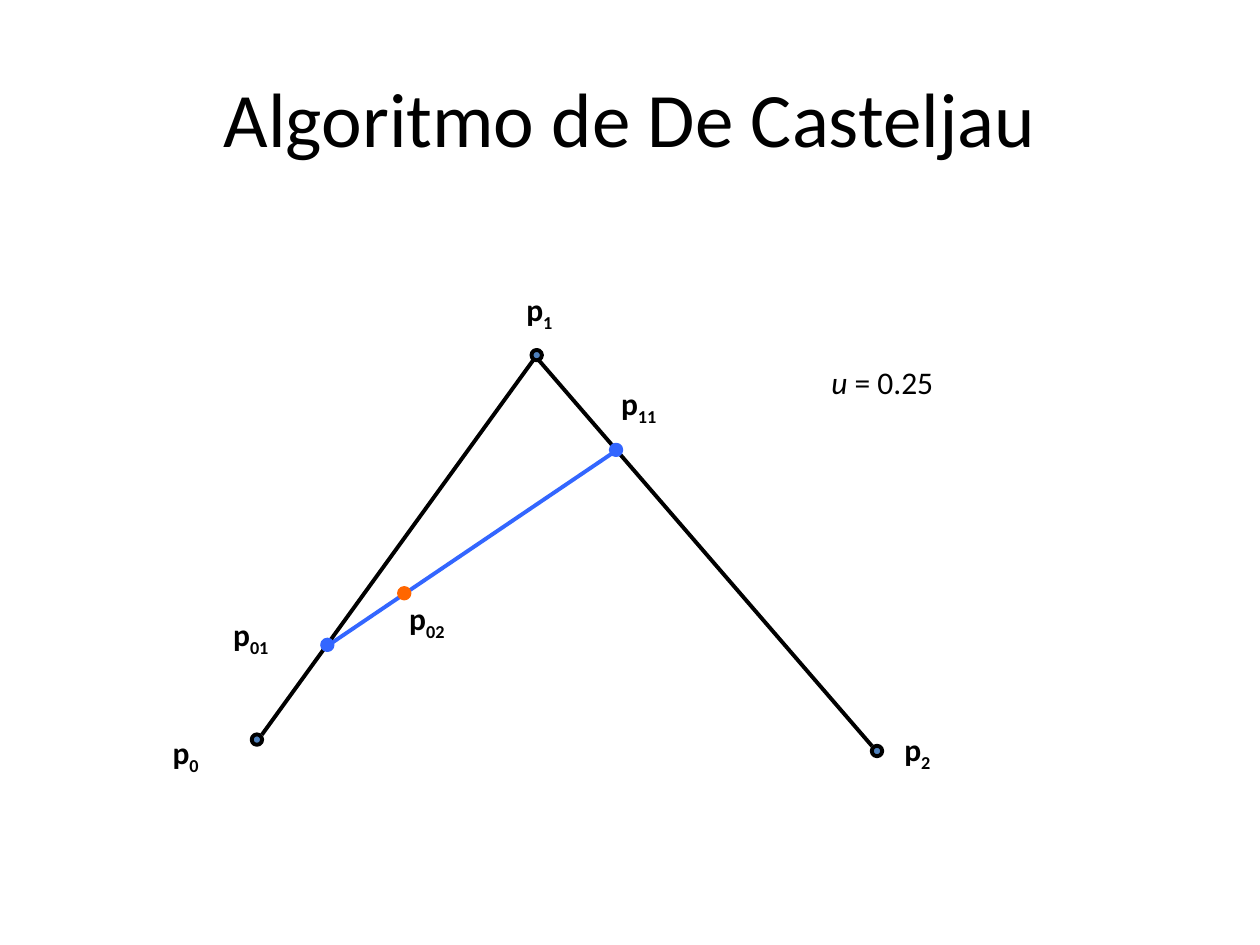
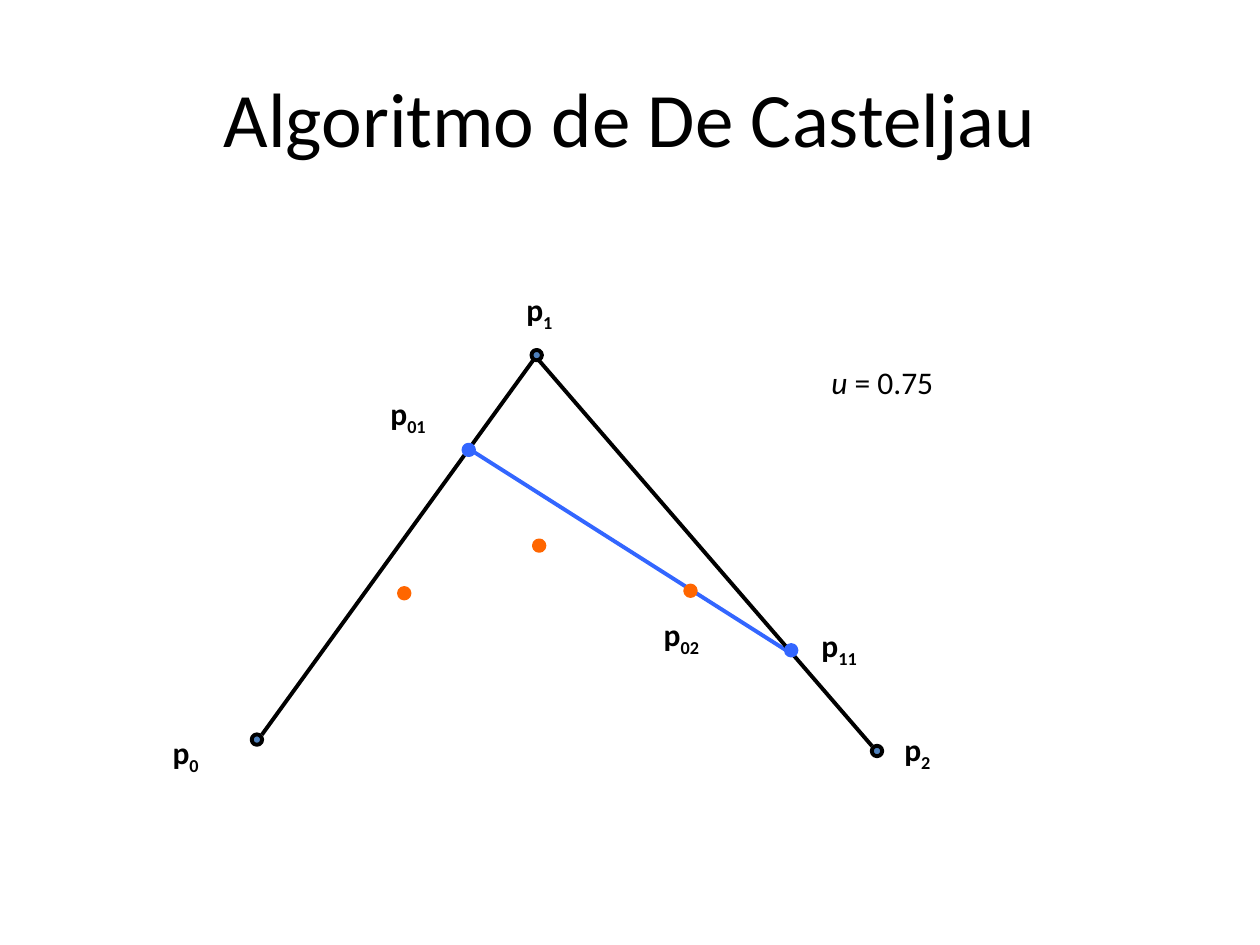
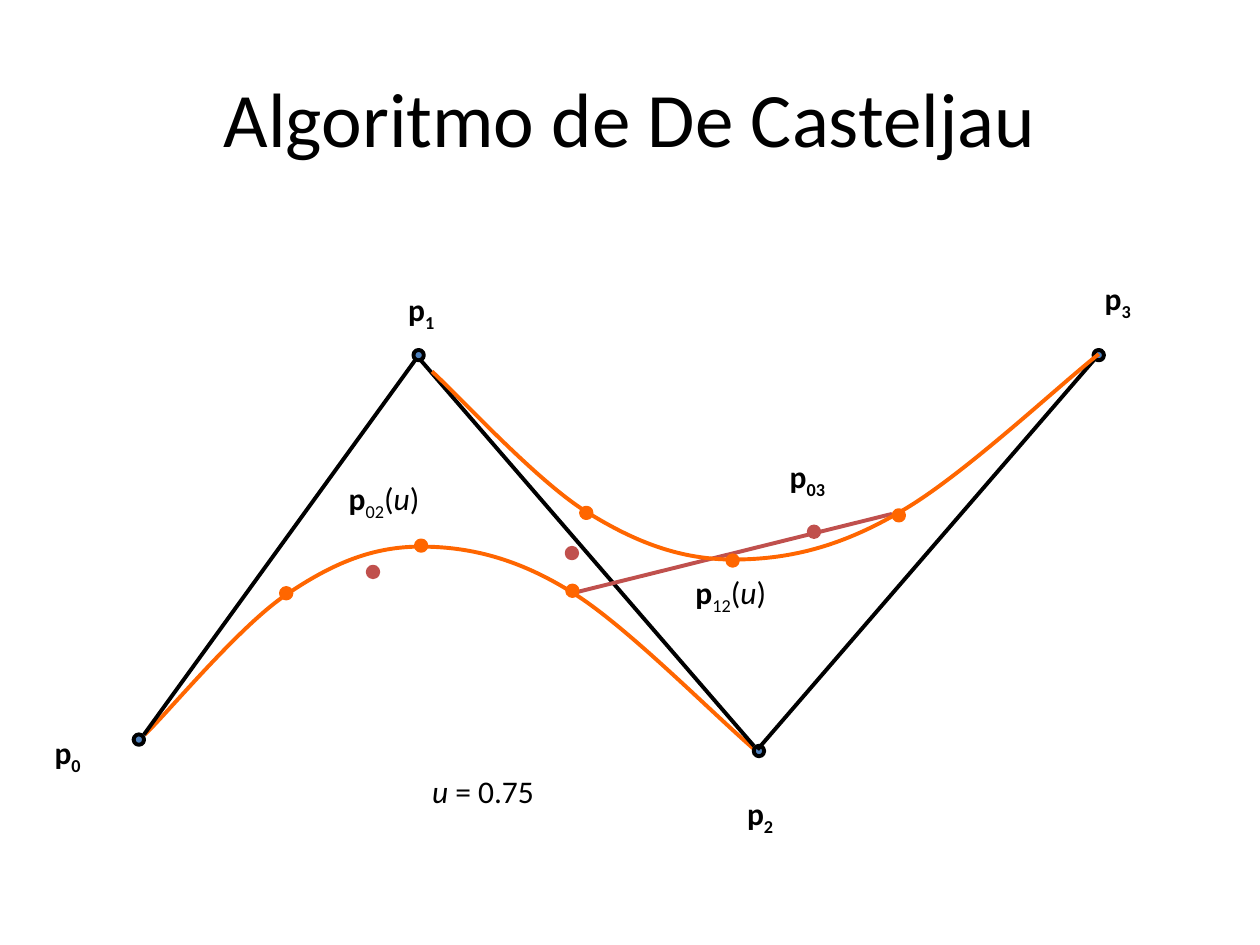
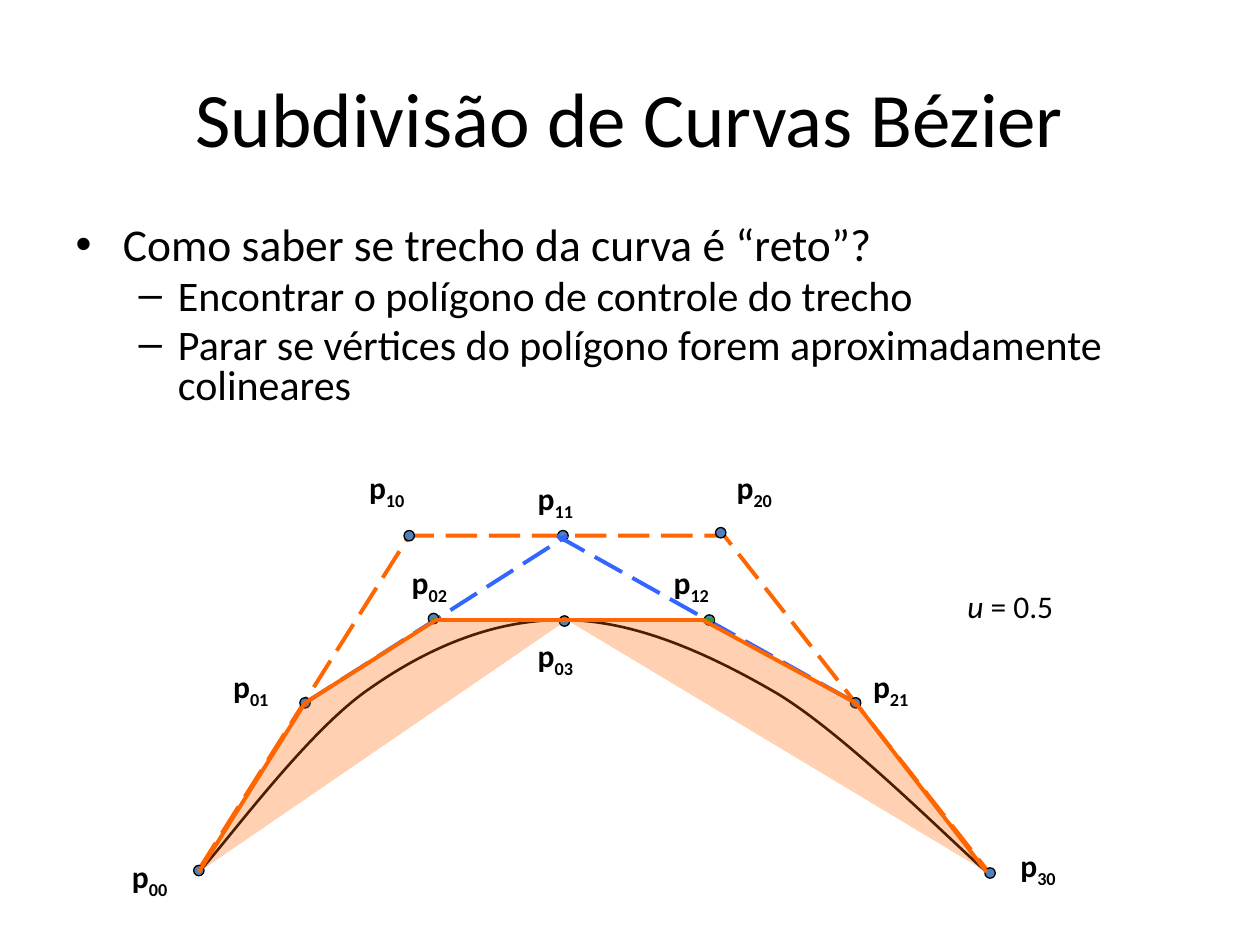
"""Build four slides on De Casteljau's algorithm and Bezier subdivision."""
from dataclasses import dataclass, field
from typing import Any, Optional, Union

from lxml.etree import SubElement
from pptx import Presentation
from pptx.dml.color import RGBColor as Rgb
from pptx.enum.dml import MSO_LINE_DASH_STYLE as Dash
from pptx.enum.shapes import MSO_CONNECTOR_TYPE as Connector, MSO_SHAPE as Preset
from pptx.enum.text import MSO_AUTO_SIZE as AutoSize, MSO_ANCHOR as Anchor, PP_ALIGN as Align
from pptx.oxml.ns import qn
from pptx.util import Cm, Pt

Point = tuple[float, float]


@dataclass(frozen=True)
class Theme:
    """Colours, type sizes and stroke widths of the deck."""
    font: str = "Calibri"
    black: str = "000000"
    steel: str = "4F81BD"
    blue: str = "3366FF"
    orange: str = "FF6600"
    red: str = "C0504D"
    green: str = "339933"
    title_size: float = 44
    body_sizes: tuple[float, float] = (26, 24)
    label_size: float = 18
    thick: float = 2.25
    medium: float = 1.5
    thin: float = 0.75
    dot: float = 0.21
    label_height: float = 1.09
    region_opacity: int = 30


THEME = Theme()
TITLE_ONLY, TITLE_AND_CONTENT = 5, 1
TITLE_BOX = (1.27, 0.76, 22.86, 3.18)
BODY_BOX = (1.27, 4.45, 22.86, 4.24)


@dataclass(frozen=True)
class Stroke:
    """Colour, width and dashing of a line."""
    color: str = THEME.black
    width: float = THEME.thick
    dashed: bool = False


@dataclass(frozen=True)
class Dot:
    """A round marker, placed by its centre."""
    center: Point
    fill: str = THEME.steel
    stroke: Stroke = Stroke()


@dataclass(frozen=True)
class Segment:
    """A straight line between two points."""
    start: Point
    end: Point
    stroke: Stroke = Stroke()


@dataclass(frozen=True)
class Outline:
    """An open polyline, or a chain of cubic Bezier arcs."""
    points: tuple[Point, ...]
    stroke: Stroke
    curved: bool = False
    fill: Optional[str] = None


@dataclass(frozen=True)
class Span:
    """A run of label text."""
    text: str
    formats: dict[str, Any] = field(default_factory=dict)
    subscript: bool = False


@dataclass(frozen=True)
class Label:
    """A text box, placed by its top left corner."""
    corner: Point
    width: float
    spans: tuple[Span, ...]


Item = Union[Dot, Segment, Outline, Label]


def apply(target: Any, formats: dict[str, Any]) -> None:
    """Set every attribute named in formats."""
    for name, value in formats.items():
        setattr(target, name, value)


def style_font(font: Any, size: float, **formats: Any) -> None:
    """Give a font the deck's typeface, colour and a size."""
    apply(font, {"name": THEME.font, "size": Pt(size), **formats})
    font.color.rgb = Rgb.from_string(THEME.black)


def place(shape: Any, bounds: tuple[float, float, float, float]) -> None:
    """Move and size a shape; bounds are in centimetres."""
    names = ("left", "top", "width", "height")
    apply(shape, {name: Cm(value) for name, value in zip(names, bounds)})


def style_line(line: Any, stroke: Stroke) -> None:
    """Apply a stroke to a line format."""
    line.color.rgb = Rgb.from_string(stroke.color)
    line.width = Pt(stroke.width)
    if stroke.dashed:
        line.dash_style = Dash.LONG_DASH


def fill_solid(shape: Any, color: str) -> None:
    """Fill a shape with one colour."""
    shape.fill.solid()
    shape.fill.fore_color.rgb = Rgb.from_string(color)


def draw_dot(page: Any, dot: Dot) -> None:
    """Draw a round marker."""
    left, top = (value - THEME.dot / 2 for value in dot.center)
    marker = page.shapes.add_shape(
        Preset.OVAL, Cm(left), Cm(top), Cm(THEME.dot), Cm(THEME.dot))
    marker.shadow.inherit = False
    fill_solid(marker, dot.fill)
    style_line(marker.line, dot.stroke)


def draw_segment(page: Any, segment: Segment) -> None:
    """Draw a straight connector without shadow."""
    ends = [Cm(value) for value in (*segment.start, *segment.end)]
    connector = page.shapes.add_connector(Connector.STRAIGHT, *ends)
    style_line(connector.line, segment.stroke)
    SubElement(connector._element.spPr, qn("a:effectLst"))


def bend(shape: Any) -> None:
    """Turn each three line steps of a freeform into one cubic arc."""
    contour = shape._element.xpath(".//a:path")[0]
    steps = contour.findall(qn("a:lnTo"))
    for first in range(0, len(steps), 3):
        arc = SubElement(contour, qn("a:cubicBezTo"))
        for step in steps[first:first + 3]:
            arc.append(step[0])
            contour.remove(step)


def draw_outline(page: Any, outline: Outline) -> None:
    """Draw an open polyline or curve, filled on request."""
    points = [(Cm(x), Cm(y)) for x, y in outline.points]
    builder = page.shapes.build_freeform(*points[0], scale=1.0)
    builder.add_line_segments(points[1:], close=False)
    shape = builder.convert_to_shape()
    shape.shadow.inherit = False
    if outline.curved:
        bend(shape)
    if outline.fill:
        fill_solid(shape, outline.fill)
        color = shape._element.spPr.find(qn("a:solidFill"))[0]
        SubElement(color, qn("a:alpha"), val=str(THEME.region_opacity * 1000))
    else:
        shape.fill.background()
    style_line(shape.line, outline.stroke)


def draw_label(page: Any, label: Label) -> None:
    """Write a label made of formatted spans."""
    box = page.shapes.add_textbox(
        *(Cm(value) for value in (*label.corner, label.width, THEME.label_height)))
    apply(box.text_frame, {"word_wrap": True, "auto_size": AutoSize.SHAPE_TO_FIT_TEXT})
    para = box.text_frame.paragraphs[0]
    for span in label.spans:
        run = para.add_run()
        run.text = span.text
        style_font(run.font, THEME.label_size, **span.formats)
        if span.subscript:
            run._r.get_or_add_rPr().set("baseline", "-25000")


PAINTERS = {Dot: draw_dot, Segment: draw_segment, Outline: draw_outline, Label: draw_label}


def add_page(deck: Any, title: str, items: list[Item], layout: int = TITLE_ONLY) -> Any:
    """Add a titled slide and draw its items from back to front."""
    page = deck.slides.add_slide(deck.slide_layouts[layout])
    heading = page.shapes.title
    place(heading, TITLE_BOX)
    heading.text_frame.text = title
    heading.text_frame.vertical_anchor = Anchor.MIDDLE
    para = heading.text_frame.paragraphs[0]
    para.alignment = Align.CENTER
    style_font(para.runs[0].font, THEME.title_size)
    for item in items:
        PAINTERS[type(item)](page, item)
    return page


def write_body(page: Any, lines: list[tuple[int, str]]) -> None:
    """Fill the body placeholder with levelled bullets."""
    body = page.placeholders[1]
    place(body, BODY_BOX)
    frame = body.text_frame
    frame.auto_size = AutoSize.NONE
    for index, (level, text) in enumerate(lines):
        para = frame.add_paragraph() if index else frame.paragraphs[0]
        apply(para, {"text": text, "level": level, "line_spacing": 0.8})
        style_font(para.runs[0].font, THEME.body_sizes[level])


def point_label(index: str, x: float, y: float) -> Label:
    """Name a point: bold p with a subscript."""
    bold = {"bold": True}
    width = 1.17 if len(index) == 1 else 1.6
    return Label((x, y), width, (Span("p", bold), Span(index, bold, True)))


def curve_label(index: str, x: float, y: float) -> Label:
    """Name a curve: p with a subscript, as a function of u."""
    spans = (Span("p", {"bold": True}), Span(index, subscript=True),
             Span("("), Span("u", {"italic": True}), Span(")"))
    return Label((x, y), 2.74, spans)


def parameter_label(value: str, x: float, y: float) -> Label:
    """State the value of u."""
    return Label((x, y), 2.92, (Span("u", {"italic": True}), Span(f" = {value}")))


def colored_dots(color: str, *centers: Point) -> list[Item]:
    """Make dots whose fill and line share a colour."""
    return [Dot(center, color, Stroke(color)) for center in centers]


def shifted(points: list[Point], dx: float) -> list[Point]:
    """Move points sideways."""
    return [(x + dx, y) for x, y in points]


def control_polygon(dx: float = 0) -> list[Item]:
    """Make the two legs p0-p1-p2, their dots, and labels for p0 and p1."""
    foot, apex, end = shifted([(5.28, 14.81), (10.8, 7.19), (17.58, 15.04)], dx)
    centers = shifted([(5.18, 14.91), (10.82, 7.16), (17.68, 15.14)], dx)
    return [Segment(foot, apex), Segment(apex, end), *map(Dot, centers),
            point_label("0", 3.23 + dx, 14.66), point_label("1", 10.36 + dx, 5.72)]


CASTELJAU = "Algoritmo de De Casteljau"
BLUE, ORANGE, RED = Stroke(THEME.blue), Stroke(THEME.orange), Stroke(THEME.red)
CURVE_POINTS = [(8.15, 11.96), (10.87, 11), (13.92, 11.91)]
CUBIC_SHIFT = -2.38


def quarter_step() -> list[Item]:
    """Construction of the quadratic point at u = 0.25."""
    return [
        Segment((6.63, 13), (12.37, 9.12), BLUE),
        *control_polygon(),
        *colored_dots(THEME.blue, (6.6, 13), (12.42, 9.07)),
        *colored_dots(THEME.orange, CURVE_POINTS[0]),
        point_label("2", 17.98, 14.6),
        point_label("11", 12.27, 7.62),
        point_label("01", 4.45, 12.27),
        point_label("02", 8, 11.96),
        parameter_label("0.25", 16.51, 7.19),
    ]


def three_quarter_step() -> list[Item]:
    """Construction of the quadratic point at u = 0.75."""
    return [
        Segment((9.52, 9.09), (15.88, 13.13), BLUE),
        *control_polygon(),
        *colored_dots(THEME.blue, (9.45, 9.07), (15.95, 13.11)),
        *colored_dots(THEME.orange, *CURVE_POINTS),
        point_label("2", 17.98, 14.6),
        point_label("11", 16.31, 12.5),
        point_label("01", 7.62, 7.82),
        point_label("02", 13.13, 12.27),
        parameter_label("0.75", 16.51, 7.19),
    ]


def cubic_step() -> list[Item]:
    """Two quadratic curves blended into a cubic point."""
    lower = ((2.92, 14.81), (3.4, 14.35), (4.83, 12.62), (5.77, 11.99),
             (6.71, 11.35), (7.52, 11.02), (8.48, 11.02),
             (9.45, 11.02), (10.44, 11.25), (11.56, 11.96),
             (12.67, 12.65), (14.48, 14.5), (15.27, 15.16))
    upper = ((8.71, 7.49), (9.22, 7.95), (10.8, 9.68), (11.81, 10.31),
             (12.83, 10.95), (13.74, 11.28), (14.78, 11.28),
             (15.85, 11.28), (16.89, 11.05), (18.11, 10.34),
             (19.35, 9.65), (21.31, 7.8), (22.15, 7.14))
    return [
        Outline(lower, ORANGE, curved=True),
        *control_polygon(CUBIC_SHIFT),
        Segment((15.27, 15.11), (22.05, 7.26)),
        Dot((22.15, 7.16)),
        Segment((11.53, 11.96), (17.98, 10.36), RED),
        Outline(upper, ORANGE, curved=True),
        *colored_dots(THEME.orange, *shifted(CURVE_POINTS, CUBIC_SHIFT),
                      (11.82, 10.34), (14.77, 11.3), (18.12, 10.39)),
        *colored_dots(THEME.red, (7.52, 11.53), (11.53, 11.15), (16.41, 10.72)),
        point_label("2", 14.81, 15.88),
        point_label("3", 22.02, 5.51),
        point_label("03", 15.67, 9.09),
        curve_label("02", 6.78, 9.53),
        curve_label("12", 13.77, 11.43),
        parameter_label("0.75", 8.46, 15.44),
    ]


def subdivision() -> list[Item]:
    """A cubic split at u = 0.5, with both control polygons shaded."""
    curve = ((4.01, 17.58), (4.6, 16.94), (6.22, 14.71), (7.47, 13.87),
             (8.71, 13), (10.06, 12.47), (11.43, 12.5),
             (12.8, 12.52), (14.27, 13.16), (15.7, 14),
             (17.09, 14.86), (19.02, 16.81), (19.89, 17.58))
    control = ((4.01, 17.53), (8.25, 10.8), (14.6, 10.8), (19.89, 17.53))
    left = ((4.01, 17.58), (6.15, 14.17), (8.79, 12.5), (11.43, 12.5))
    right = ((11.43, 12.5), (14.17, 12.5), (17.25, 14.17), (19.89, 17.58))
    outer = [(4.01, 17.55), (8.25, 10.8), (14.53, 10.74), (19.96, 17.6),
             (6.15, 14.17), (17.25, 14.17), (11.35, 10.8)]
    inner = [(8.74, 12.47), (14.3, 12.5)]
    middle = (11.38, 12.52)
    names = {"00": (2.41, 17.15), "10": (7.19, 9.32), "20": (14.6, 9.32),
             "30": (20.32, 16.94), "01": (4.45, 13.33), "11": (10.59, 9.53),
             "21": (17.35, 13.33), "02": (8.05, 11.23), "12": (13.33, 11.23),
             "03": (10.59, 12.7)}
    rim = Stroke(width=THEME.thin)
    dashed_blue = Stroke(THEME.blue, dashed=True)
    return [
        Outline(curve, Stroke(width=THEME.medium), curved=True),
        Outline(control, Stroke(THEME.orange, dashed=True)),
        *(Dot(center, stroke=rim) for center in outer),
        Segment((11.23, 10.8), (17.25, 14.17), dashed_blue),
        Segment((6.15, 14.17), (11.43, 10.8), dashed_blue),
        *(Dot(center, stroke=rim) for center in inner),
        Segment((8.69, 12.5), (14.4, 12.5), Stroke(THEME.green, dashed=True)),
        Dot(middle, stroke=rim),
        *(point_label(name, *corner) for name, corner in names.items()),
        parameter_label("0.5", 19.25, 11.71),
        *(Outline(half, ORANGE, fill=THEME.orange) for half in (left, right)),
    ]


def main() -> None:
    """Build and save the deck."""
    deck = Presentation()
    apply(deck, {"slide_width": Cm(25.4), "slide_height": Cm(19.05)})
    for items in (quarter_step(), three_quarter_step(), cubic_step()):
        add_page(deck, CASTELJAU, items)
    page = add_page(deck, "Subdivisão de Curvas Bézier", subdivision(), TITLE_AND_CONTENT)
    write_body(page, [
        (0, "Como saber se trecho da curva é “reto”?"),
        (1, "Encontrar o polígono de controle do trecho"),
        (1, "Parar se vértices do polígono forem aproximadamente colineares"),
    ])
    deck.save("out.pptx")


main()
